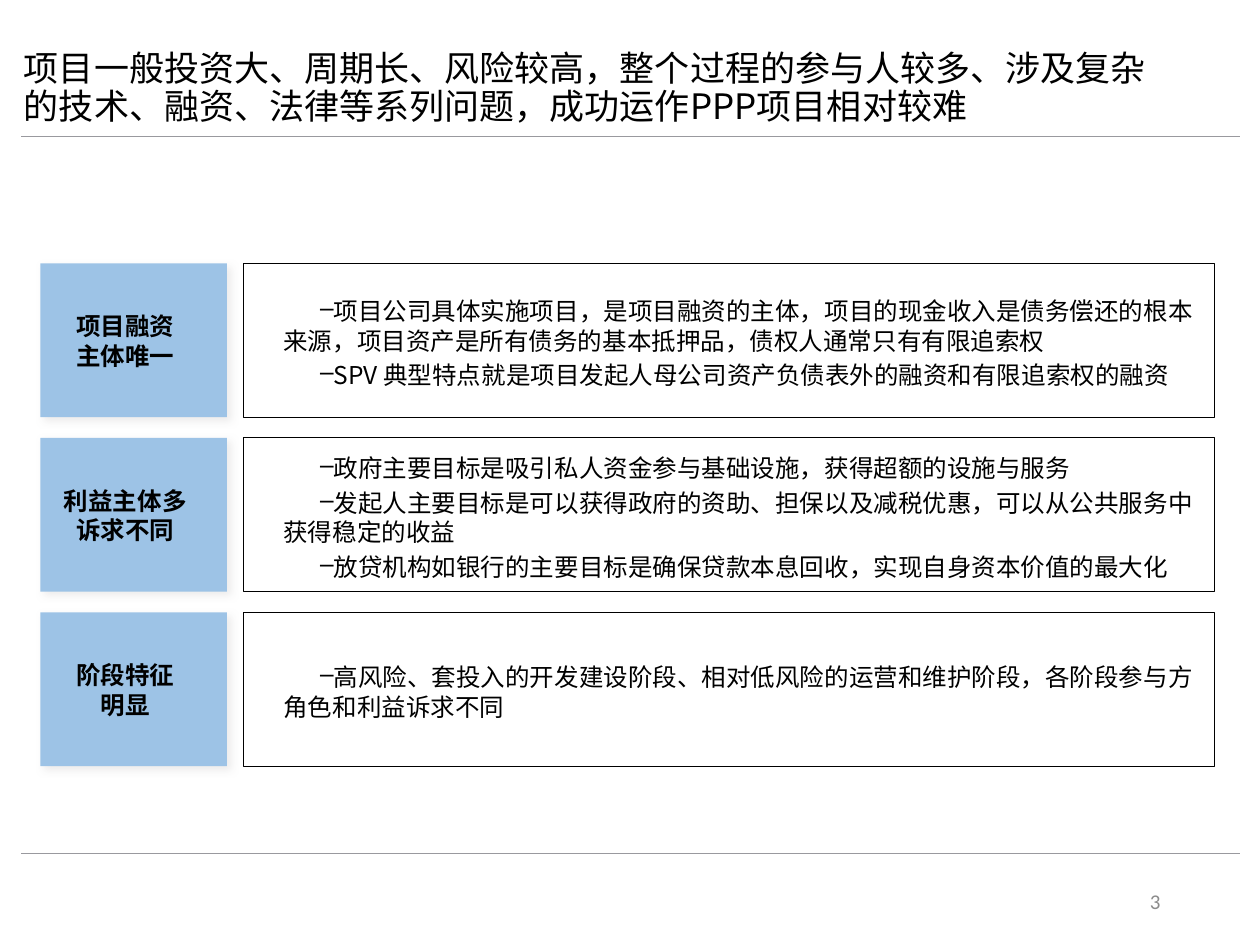
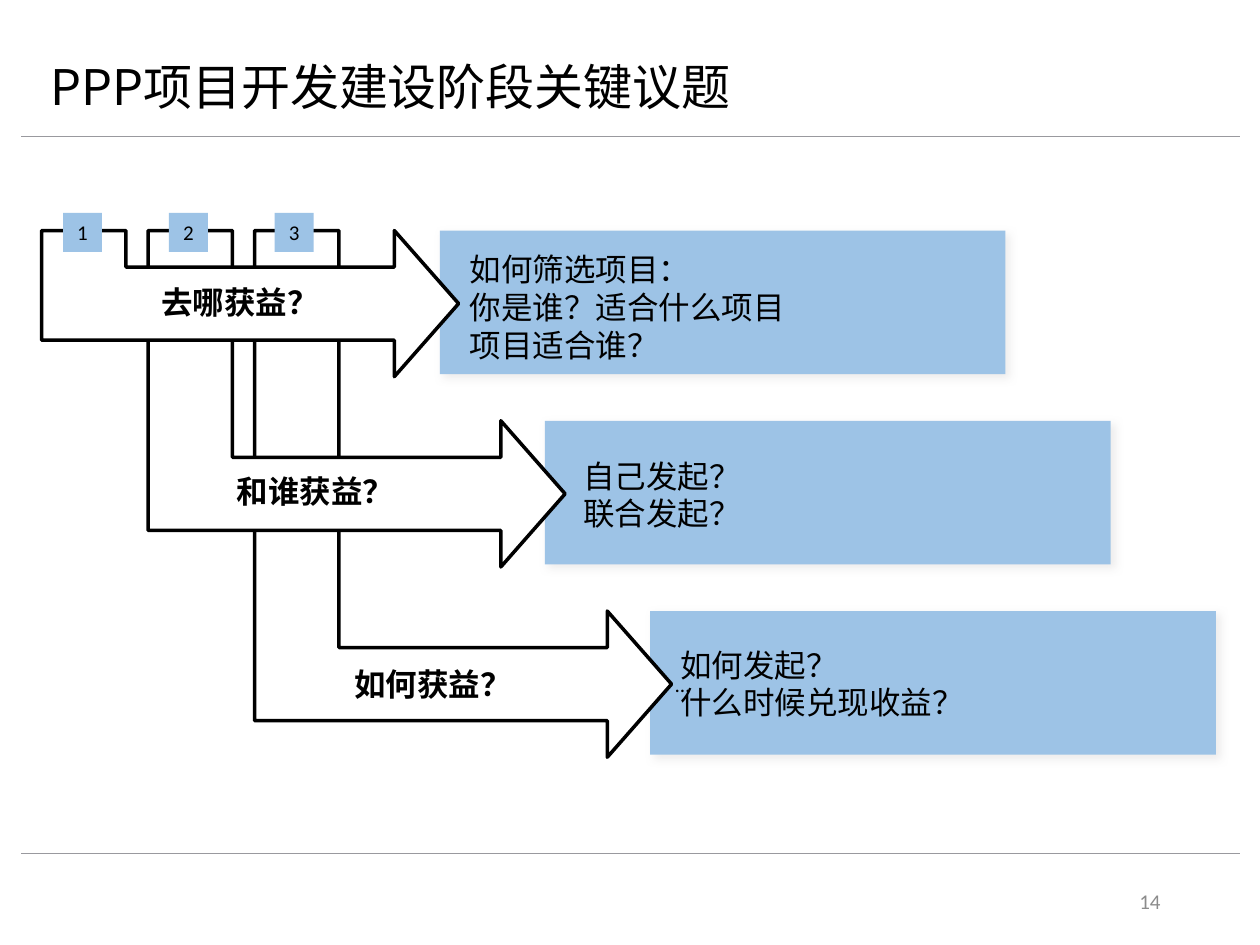
"""Build two slides on the traits and key questions of PPP projects."""
from lxml import etree
from pptx import Presentation
from pptx import util as u
from pptx.dml.color import RGBColor
from pptx.enum import shapes, text
from pptx.oxml.ns import qn

HAN, LATIN = "Noto Sans CJK SC", "Calibri"
BLACK, WHITE, BLUE = "000000", "FFFFFF", "9DC3E6"
RULE, GREY, SHADE = "99999E", "8C8C8C", "E7E6E6"
LEFT, MID, RIGHT = text.PP_ALIGN.LEFT, text.PP_ALIGN.CENTER, text.PP_ALIGN.RIGHT

TRAITS = {
    "title": "项目一般投资大、周期长、风险较高，整个过程的参与人较多、涉及复杂的技术、融资、法律等系列问题，成功运作PPP项目相对较难",
    "box": (0.09, 0.37, 9.12, 0.68), "size": 20, "page": "3",
}
ROWS = [
    (["项目融资", "主体唯一"], 0.75, [
        "项目公司具体实施项目，是项目融资的主体，项目的现金收入是债务偿还的根本来源，项目资产是所有债务的基本抵押品，债权人通常只有有限追索权",
        "SPV 典型特点就是项目发起人母公司资产负债表外的融资和有限追索权的融资"]),
    (["利益主体多", "诉求不同"], 1.04, [
        "政府主要目标是吸引私人资金参与基础设施，获得超额的设施与服务",
        "发起人主要目标是可以获得政府的资助、担保以及减税优惠，可以从公共服务中获得稳定的收益",
        "放贷机构如银行的主要目标是确保贷款本息回收，实现自身资本价值的最大化"]),
    (["阶段特征", "明显"], 0.47, [
        "高风险、套投入的开发建设阶段、相对低风险的运营和维护阶段，各阶段参与方角色和利益诉求不同"]),
]
ISSUES = {
    "title": "PPP项目开发建设阶段关键议题",
    "box": (0.3, 0.37, 9.01, 0.68), "size": 28, "page": "14",
}
STEPS = [
    ("去哪获益？", (0.76, 2.2), (3.73, 1.98),
     ["如何筛选项目：", "你是谁？适合什么项目", "项目适合谁？"]),
    ("和谁获益？", (1.36, 3.7), (4.63, 3.62), ["自己发起？", "联合发起？"]),
    ("如何获益？", (2.29, 5.23), (5.4, 5.12), ["如何发起？", "什么时候兑现收益？"]),
]


def tint(code):
    """Turn a hex string into a colour."""
    return RGBColor.from_string(code)


def place(box):
    """Turn numbers into lengths in inches."""
    return [u.Inches(n) for n in box]


def write(shape, lines, size=14, font=LATIN, color=BLACK, bold=False, align=LEFT,
          inset=True, anchor=text.MSO_ANCHOR.MIDDLE, lead=None, dash=False):
    """Fill a shape with formatted paragraphs."""
    frame = shape.text_frame
    frame.word_wrap = True
    frame.auto_size = text.MSO_AUTO_SIZE.NONE
    frame.vertical_anchor = anchor
    if not inset:
        frame.margin_left = frame.margin_right = 0
        frame.margin_top = frame.margin_bottom = 0
    for i, line in enumerate(lines):
        para = frame.paragraphs[0] if i == 0 else frame.add_paragraph()
        para.alignment = align
        if lead:
            para.line_spacing = lead
        if dash:
            bullet(para)
        run = para.add_run()
        run.text = line
        run.font.size = u.Pt(size)
        run.font.bold = bold
        run.font.color.rgb = tint(color)
        run.font.name = font
        east = etree.SubElement(run.font._element, qn("a:ea"))
        east.set("typeface", HAN)


def bullet(para):
    """Give a paragraph a dash and an indented first line."""
    para.level = 1
    para.space_before = u.Pt(2.8)
    props = para._p.get_or_add_pPr()
    props.set("marL", str(u.Inches(0.21)))
    props.set("indent", str(u.Inches(0.29)))
    etree.SubElement(props, qn("a:buChar")).set("char", "–")


def label(slide, box, lines, **style):
    """Add a text box."""
    write(slide.shapes.add_textbox(*place(box)), lines, **style)


def paint(shape, fill=None, line=None, width=0.5):
    """Set fill and outline and drop the shadow."""
    shape.shadow.inherit = False
    if fill:
        shape.fill.solid()
        shape.fill.fore_color.rgb = tint(fill)
    else:
        shape.fill.background()
    if line:
        shape.line.color.rgb = tint(line)
        shape.line.width = u.Pt(width)
    else:
        shape.line.fill.background()


def block(slide, box, fill=None, line=None, shade=False):
    """Add a rectangle, with a soft shadow if asked."""
    shape = slide.shapes.add_shape(shapes.MSO_SHAPE.RECTANGLE, *place(box))
    paint(shape, fill, line)
    if shade:
        effects = shape._element.spPr.find(qn("a:effectLst"))
        cast = etree.SubElement(effects, qn("a:outerShdw"), blurRad=str(u.Pt(5)),
                                dist=str(u.Pt(3)), dir="2700000", algn="tl", rotWithShape="0")
        hue = etree.SubElement(cast, qn("a:srgbClr"), val=SHADE)
        etree.SubElement(hue, qn("a:alpha"), val="75000")
    return shape


def arrow(slide, left, top, tip):
    """Draw a bent arrow that drops from top and points right at height tip."""
    half, wing, neck, stem = 0.29, 0.58, 2.8, 0.67
    dots = [(0, top), (0, tip + half), (neck, tip + half), (neck, tip + wing),
            (3.31, tip), (neck, tip - wing), (neck, tip - half),
            (stem, tip - half), (stem, top)]
    dots = [place((left + x, y)) for x, y in dots]
    pen = slide.shapes.build_freeform(*dots[0])
    pen.add_line_segments(dots[1:], close=True)
    paint(pen.convert_to_shape(), WHITE, BLACK, 2)


def start(deck, head):
    """Add a slide with its title, rules and page number."""
    slide = deck.slides.add_slide(deck.slide_layouts[5])
    title = slide.shapes.title
    title.left, title.top, title.width, title.height = place(head["box"])
    write(title, [head["title"]], size=head["size"], font=HAN, lead=0.9)
    for y in (1.08, 6.77):
        rule = slide.shapes.add_connector(
            shapes.MSO_CONNECTOR.STRAIGHT, *place((0.17, y, 9.84, y)))
        rule.line.color.rgb = tint(RULE)
        rule.line.width = u.Pt(0.5)
        etree.SubElement(rule._element.spPr, qn("a:effectLst"))
    label(slide, (7.06, 6.95, 2.25, 0.4), [head["page"]], size=12, color=GREY, align=RIGHT)
    return slide


def traits(deck):
    """Build the slide of three labelled rows."""
    slide = start(deck, TRAITS)
    tall = 1.22
    for i, (name, high, notes) in enumerate(ROWS):
        y = 2.09 + 1.385 * i
        mid = y + tall / 2
        block(slide, (0.32, y, 1.48, tall), BLUE, shade=True)
        block(slide, (1.93, y, 7.71, tall), line=BLACK)
        label(slide, (0.46, mid - 0.23, 1.07, 0.47), name, font=HAN, bold=True,
              align=MID, inset=False)
        label(slide, (2.04, mid + 0.02 - high / 2, 7.5, high), notes, font=HAN,
              inset=False, dash=True)


def issues(deck):
    """Build the slide of three stepped arrows."""
    slide = start(deck, ISSUES)
    top, step, drop = 1.83, 0.845, 1.51
    for i in range(len(STEPS)):
        block(slide, (3.49 + 0.835 * i, top + drop * i, 4.49, 1.14), BLUE, shade=True)
    for i in reversed(range(len(STEPS))):
        arrow(slide, 0.33 + step * i, top, 2.41 + drop * i)
    label(slide, (5.36, 5.33, 4.1, 0.2), ["…"], size=12, inset=False)
    for i, (ask, spot, seat, lines) in enumerate(STEPS):
        badge = block(slide, (0.5 + 0.84 * i, 1.69, 0.31, 0.31), BLUE)
        write(badge, [str(i + 1)], size=12, align=MID, inset=False)
        label(slide, (*spot, 2.29, 0.4), [ask], size=18, bold=True, align=MID,
              anchor=text.MSO_ANCHOR.TOP)
        label(slide, (*seat, 4.1, 0.303 * len(lines)), lines, size=18, inset=False)


def main():
    """Build and save the deck."""
    deck = Presentation()
    deck.slide_width, deck.slide_height = place((10, 7.5))
    traits(deck)
    issues(deck)
    deck.save("out.pptx")


if __name__ == "__main__":
    main()
